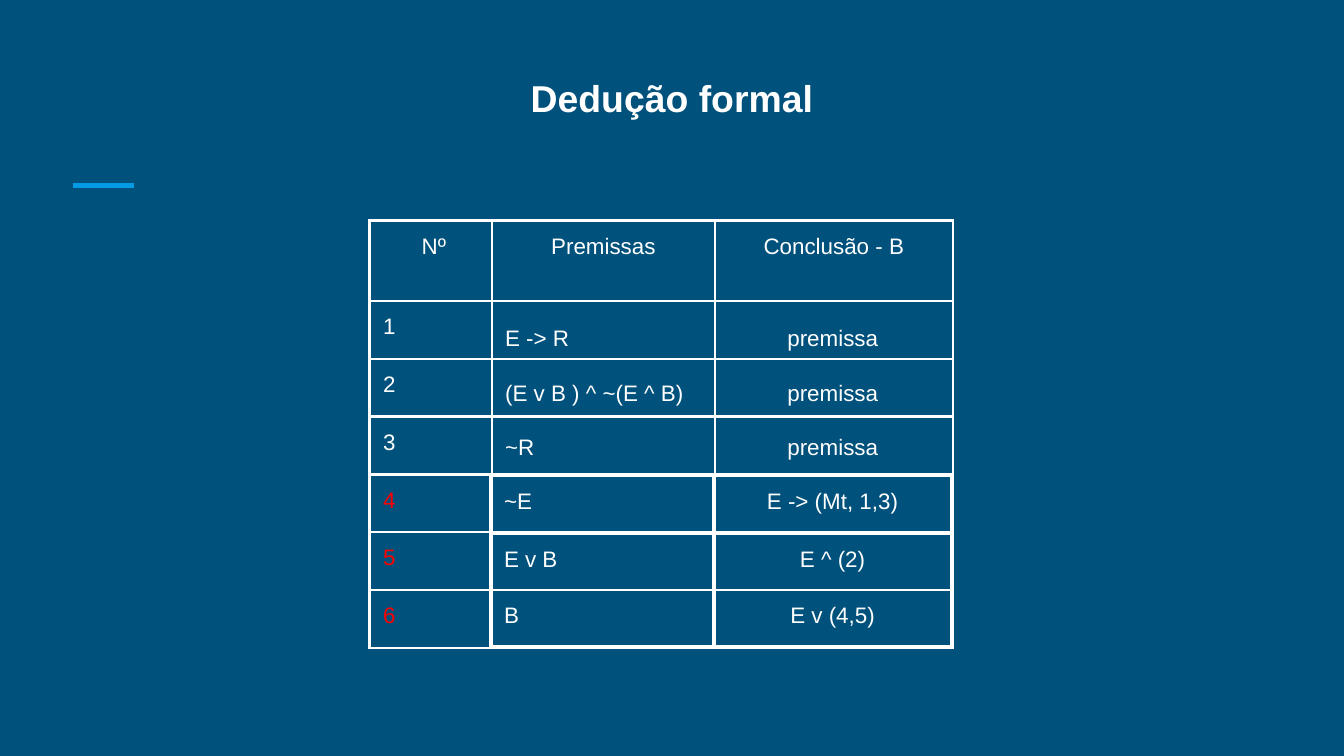
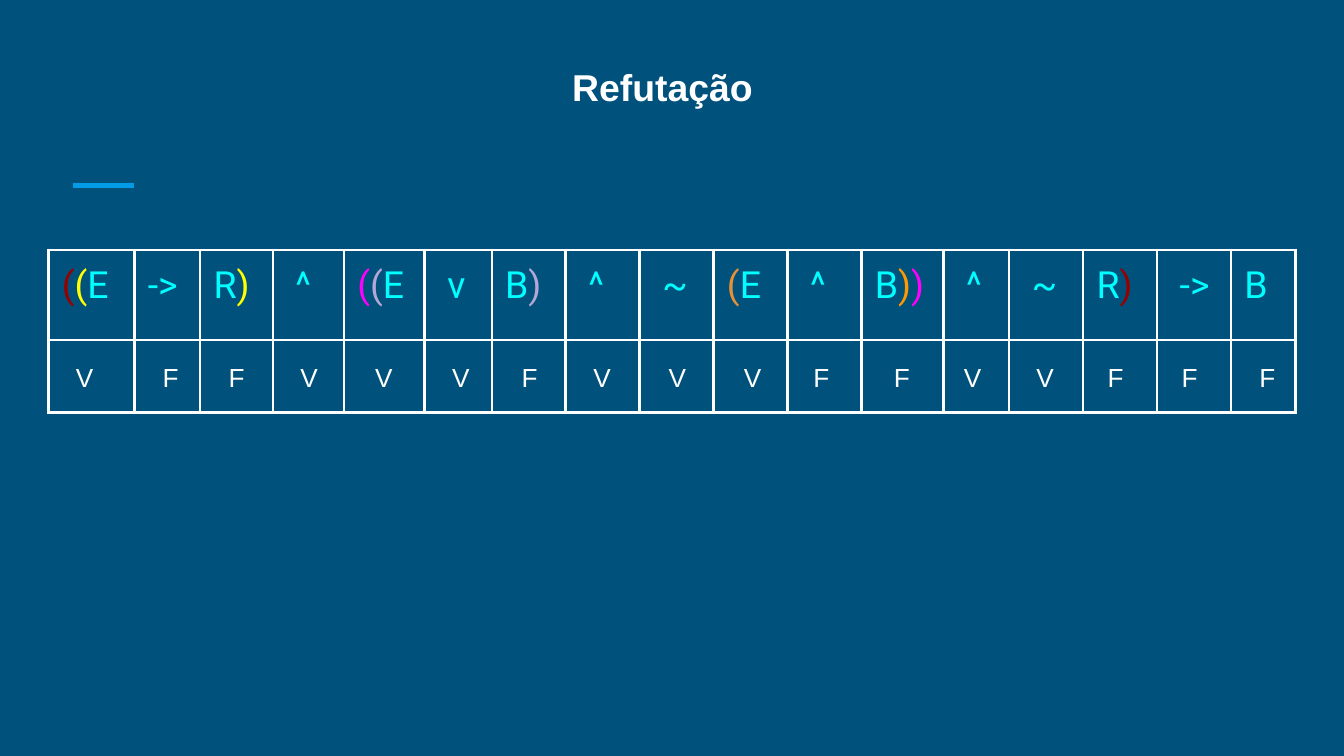
import lxml.etree
import pptx
import pptx.dml.color
import pptx.enum.shapes
import pptx.enum.text
import pptx.oxml
import pptx.oxml.ns
import pptx.util

Inches = pptx.util.Inches
Pt = pptx.util.Pt
RGB = pptx.dml.color.RGBColor.from_string
qn = pptx.oxml.ns.qn
LEFT = pptx.enum.text.PP_ALIGN.LEFT
CENTER = pptx.enum.text.PP_ALIGN.CENTER


class Theme:
    background = "00517C"
    accent = "039BE5"
    text = "FFFFFF"
    derived = "FF0000"
    formula = "00FFFF"
    parentheses = ["980000", "FFFF00", "FFFF00", "FF00FF", "B4A7D6",
                   "B4A7D6", "E69138", "FF9900", "FF00FF", "980000"]
    font = "Arial"
    formula_font = "Roboto"
    title_size = 20
    proof_size = 12
    formula_size = 20
    value_size = 14
    margin = 0.1
    border = 1.5


def write(holder, lines, size, color=Theme.text, align=LEFT, bold=False):
    holder.margin_left = holder.margin_right = Inches(Theme.margin)
    holder.margin_top = holder.margin_bottom = Inches(Theme.margin)
    tf = holder.text_frame if hasattr(holder, "text_frame") else holder
    for i, line in enumerate(lines):
        p = tf.add_paragraph() if i else tf.paragraphs[0]
        p.alignment = align
        p.font.name = Theme.font
        p.font.size = Pt(size)
        p.font.bold = bold
        p.font.color.rgb = RGB(color)
        if line:
            p.add_run().text = line
        else:
            p._p.get_or_add_endParaRPr().set("sz", str(size * 100))


def add_grid(s, left, top, widths, heights, rows, size, aligns):
    frame = s.shapes.add_table(len(heights), len(widths), Inches(left), Inches(top),
                               Inches(sum(widths)), Inches(sum(heights)))
    table = frame.table
    table.first_row = table.horz_banding = False
    for column, width in zip(table.columns, widths):
        column.width = Inches(width)
    for row, height in zip(table.rows, heights):
        row.height = Inches(height)
    for row, texts in zip(table.rows, rows):
        for cell, text, align in zip(row.cells, texts, aligns):
            cell.fill.background()
            write(cell, [text], size, align=align)
            tcPr = cell._tc.get_or_add_tcPr()
            for i, side in enumerate(["a:lnL", "a:lnR", "a:lnT", "a:lnB"]):
                ln = lxml.etree.Element(qn(side), w=str(Pt(Theme.border)))
                fill = lxml.etree.SubElement(ln, qn("a:solidFill"))
                lxml.etree.SubElement(fill, qn("a:srgbClr"), val=Theme.text)
                tcPr.insert(i, ln)
    return table


prs = pptx.Presentation()
prs.slide_width = Inches(10)
prs.slide_height = prs.slide_width * 9 // 16

slides = []
for title, left, top in [("Dedução formal", 0, 0.46), ("Refutação", -0.07, 0.38)]:
    s = prs.slides.add_slide(prs.slide_layouts[6])
    s.background.fill.solid()
    s.background.fill.fore_color.rgb = RGB(Theme.background)
    accent = s.shapes.add_connector(pptx.enum.shapes.MSO_CONNECTOR.STRAIGHT,
                                    Inches(0.54), Inches(1.38), Inches(1), Inches(1.38))
    accent.line.color.rgb = RGB(Theme.accent)
    accent.line.width = Pt(3)
    lxml.etree.SubElement(accent._element.spPr, qn("a:effectLst"))
    sp = s.shapes.add_textbox(Inches(left), Inches(top), Inches(10), Inches(0.54))
    sp.text_frame.word_wrap = True
    write(sp.text_frame, [title], Theme.title_size, align=CENTER, bold=True)
    slides.append(s)

deduction, refutation = slides

proof_widths = [0.91, 1.66, 1.77]
proof_rows = [[" Nº", "Premissas", "Conclusão - B"]]
proof_rows += [[str(number), "", ""] for number in range(1, 7)]
proof = add_grid(deduction, 2.75, 1.64, proof_widths, [0.6] + [0.43] * 6,
                 proof_rows, Theme.proof_size, [LEFT] * 3)
for cell in proof.rows[0].cells:
    cell.text_frame.paragraphs[0].alignment = CENTER
for number in range(4, 7):
    p = proof.cell(number, 0).text_frame.paragraphs[0]
    p.font.color.rgb = RGB(Theme.derived)

premises = ["E -> R", "(E v B ) ^ ~(E ^ B)", "~R"]
sp = deduction.shapes.add_textbox(Inches(3.66), Inches(2.31), Inches(3.42), Inches(1.22))
sp.text_frame.word_wrap = True
write(sp.text_frame, [premise + "\tpremissa" for premise in premises], Theme.proof_size)
for i, p in enumerate(sp.text_frame.paragraphs):
    p.space_before = Pt(15 if i else 0)
    tabs = lxml.etree.Element(qn("a:tabLst"))
    lxml.etree.SubElement(tabs, qn("a:tab"), pos=str(Inches(2.1)), algn="l")
    p._p.pPr.find(qn("a:defRPr")).addprevious(tabs)

steps = [("~E", "E -> (Mt, 1,3)"), ("E v B", "E ^ (2)"), ("B", "E v (4,5)")]
for top, step in zip([3.54, 3.97, 4.39], steps):
    add_grid(deduction, 3.65, top, proof_widths[1:], [0.42],
             [step], Theme.proof_size, [LEFT, CENTER])

formula = ["((E", "->", "R)", " ^", "((E", " v", "B)", " ^", " ~",
           "(E", " ^", "B))", " ^", " ~", "R)", " ->", "B"]
formula_widths = [0.64, 0.49, 0.54, 0.53, 0.6, 0.5, 0.55, 0.55, 0.55,
                  0.55, 0.55, 0.61, 0.49, 0.55, 0.55, 0.55, 0.48]
blanks = [""] * len(formula)
truth = add_grid(refutation, 0.36, 1.86, formula_widths, [0.67, 0.54],
                 [blanks, blanks], Theme.value_size, [LEFT] * len(formula))
parenthesis_colors = iter(Theme.parentheses)
for cell, token in zip(truth.rows[0].cells, formula):
    p = cell.text_frame.paragraphs[0]
    p.font.name = Theme.formula_font
    p.font.size = Pt(Theme.formula_size)
    symbol = token.strip("()")
    opening, closing = token.split(symbol)
    for text in [*opening, symbol, *closing]:
        r = p.add_run()
        r.text = text
        color = Theme.formula if text == symbol else next(parenthesis_colors)
        r.font.color.rgb = RGB(color)

values = [
    (0.36, "V", CENTER), (1, "F", CENTER), (1.55, " F", LEFT), (2.03, "V", CENTER),
    (2.56, " V", CENTER), (3.16, "V", CENTER), (3.67, "F", CENTER), (4.21, "V", CENTER),
    (4.77, "V", CENTER), (5.33, "V", CENTER), (5.9, " F", LEFT), (6.44, "F", CENTER),
    (7.02, " V", LEFT), (7.56, " V", LEFT), (8.09, " F", LEFT), (8.64, " F", LEFT),
    (9.16, "F", CENTER),
]
for left, value, align in values:
    sp = refutation.shapes.add_textbox(Inches(left), Inches(2.59), Inches(0.54), Inches(0.44))
    sp.text_frame.word_wrap = True
    write(sp.text_frame, [value], Theme.value_size, align=align)

prs.save("out.pptx")
